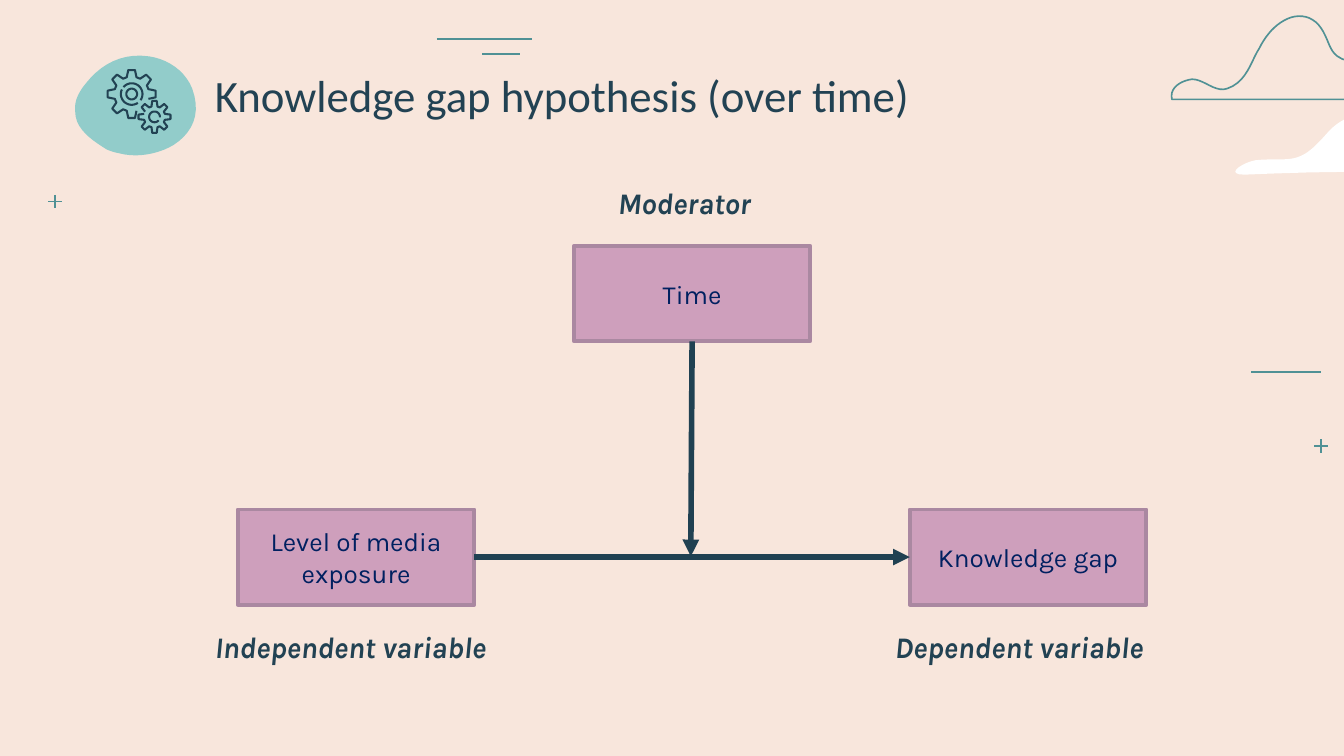
"""Build a slide showing time as the moderator of the knowledge gap hypothesis."""
from math import cos, radians, sin

from lxml import etree
from pptx import Presentation
from pptx.dml.color import RGBColor
from pptx.enum.shapes import MSO_CONNECTOR, MSO_SHAPE
from pptx.enum.text import MSO_ANCHOR, PP_ALIGN
from pptx.oxml.ns import qn
from pptx.util import Inches, Pt

RECTANGLE, STRAIGHT = MSO_SHAPE.RECTANGLE, MSO_CONNECTOR.STRAIGHT
MIDDLE, BOTTOM, CENTER = MSO_ANCHOR.MIDDLE, MSO_ANCHOR.BOTTOM, PP_ALIGN.CENTER
CREAM = RGBColor(0xF8, 0xE6, 0xDC)
WHITE = RGBColor(0xFF, 0xFF, 0xFF)
TEAL = RGBColor(0x50, 0x91, 0x95)
AQUA = RGBColor(0x92, 0xCC, 0xCA)
INK = RGBColor(0x22, 0x42, 0x53)
ARROW = RGBColor(0x20, 0x41, 0x52)
PINK = RGBColor(0xCE, 0x9F, 0xBC)
MAUVE = RGBColor(0xAA, 0x88, 0xA1)
NAVY = RGBColor(0x00, 0x20, 0x60)

deck = Presentation()
deck.slide_width, deck.slide_height = Inches(10), Inches(10 * 9 / 16)
page = deck.slides.add_slide(deck.slide_layouts[6])
page.background.fill.solid()
page.background.fill.fore_color.rgb = CREAM


def smooth(controls, steps=10):
    """Return points along a chain of cubic curves."""
    points = [controls[0]]
    for first in range(0, len(controls) - 1, 3):
        a, b, c, d = controls[first:first + 4]
        for step in range(1, steps + 1):
            t = step / steps
            u = 1 - t
            points.append(tuple(
                u**3 * a[i] + 3 * u * u * t * b[i] + 3 * u * t * t * c[i] + t**3 * d[i]
                for i in (0, 1)))
    return points


def draw_outline(points, fill=None, line=None, width=1.1, close=False):
    """Draw a freeform through points given in inches."""
    corners = [(Inches(x), Inches(y)) for x, y in points]
    builder = page.shapes.build_freeform(*corners[0])
    builder.add_line_segments(corners[1:], close=close)
    outline = builder.convert_to_shape()
    outline.shadow.inherit = False
    for paint, color in ((outline.fill, fill), (outline.line.fill, line)):
        if color is None:
            paint.background()
        else:
            paint.solid()
            paint.fore_color.rgb = color
    if line is not None:
        outline.line.width = Pt(width)


white_cloud = [
    (10.05, 0.87), (9.96, 0.9), (9.9, 0.96), (9.85, 1.02), (9.8, 1.07), (9.75, 1.13),
    (9.68, 1.16), (9.6, 1.2), (9.5, 1.18), (9.37, 1.19), (9.28, 1.19), (9.09, 1.3),
    (9.26, 1.3), (9.52, 1.29), (9.76, 1.28), (10.05, 1.28)]
line_cloud = [
    (10.68, 0.74), (10.68, 0.65), (10.51, 0.68), (10.42, 0.68), (10.39, 0.68), (10.35, 0.68),
    (10.33, 0.64), (10.31, 0.6), (10.33, 0.55), (10.33, 0.51), (10.32, 0.42), (10.23, 0.39),
    (10.17, 0.41), (10.1, 0.43), (10.03, 0.47), (9.97, 0.43), (9.89, 0.39), (9.89, 0.3),
    (9.83, 0.21), (9.77, 0.12), (9.67, 0.1), (9.58, 0.14), (9.49, 0.18), (9.42, 0.26),
    (9.37, 0.36), (9.31, 0.45), (9.28, 0.61), (9.13, 0.66), (9.04, 0.69), (8.96, 0.59),
    (8.87, 0.59), (8.79, 0.6), (8.7, 0.65), (8.72, 0.74)]
blob = [
    (0.93, 1.15), (1.05, 1.17), (1.19, 1.14), (1.29, 1.08), (1.43, 0.99), (1.5, 0.85),
    (1.43, 0.66), (1.38, 0.53), (1.25, 0.44), (1.11, 0.42), (0.91, 0.39), (0.75, 0.48),
    (0.64, 0.62), (0.59, 0.68), (0.55, 0.75), (0.56, 0.83), (0.56, 0.96), (0.68, 1.04),
    (0.79, 1.11), (0.83, 1.13), (0.88, 1.14), (0.93, 1.15)]
draw_outline(smooth(white_cloud), fill=WHITE, close=True)
draw_outline(smooth(line_cloud), line=TEAL, width=0.88, close=True)
draw_outline(smooth(blob), fill=AQUA, close=True)

big_gear, small_gear = (0.98, 0.7), (1.15, 0.87)
for (x, y), tip, root, teeth in ((big_gear, 0.18, 0.13, range(2, 9)),
                                 (small_gear, 0.12, 0.08, range(5, 13))):
    profile = ((-16, root), (-8, tip), (8, tip), (16, root))
    draw_outline([(x + radius * cos(radians(45 * tooth + turn)),
                   y + radius * sin(radians(45 * tooth + turn)))
                  for tooth in teeth for turn, radius in profile], line=INK)
for (x, y), radius, start, end in ((big_gear, 0.04, 0, 360), (big_gear, 0.08, 220, 395),
                                   (big_gear, 0.08, 55, 205), (small_gear, 0.04, 40, 365)):
    draw_outline([(x + radius * cos(radians(angle)), y + radius * sin(radians(angle)))
                  for angle in range(start, end + 1, 5)], line=INK)

boxes = {}
for name, left, top in (("Level of media exposure", 1.77, 3.79),
                        ("Knowledge gap", 6.77, 3.79), ("Time", 4.27, 1.83)):
    box = page.shapes.add_shape(RECTANGLE, Inches(left), Inches(top), Inches(1.76), Inches(0.71))
    box.shadow.inherit = False
    box.fill.solid()
    box.fill.fore_color.rgb = PINK
    box.line.color.rgb = MAUVE
    box.line.width = Pt(2)
    box.text_frame.vertical_anchor = MIDDLE
    para = box.text_frame.paragraphs[0]
    para.alignment = CENTER
    span = para.add_run()
    span.text = name
    span.font.name, span.font.size = "Karla", Pt(14)
    span.font.color.rgb = NAVY
    boxes[name] = box

lines = [(3.25, 0.29, 3.96, 0.29, TEAL, 1.32), (3.59, 0.4, 3.87, 0.4, TEAL, 1.32),
         (9.31, 2.77, 9.83, 2.77, TEAL, 1.32),
         (3.53, 4.14, 6.77, 4.14, ARROW, 3), (5.15, 2.54, 5.14, 4.14, ARROW, 3)]
for x, y in ((9.83, 3.32), (0.41, 1.5)):
    lines.append((x - 0.05, y, x + 0.05, y, TEAL, 0.88))
    lines.append((x, y - 0.05, x, y + 0.05, TEAL, 0.88))
arrows = []
for x1, y1, x2, y2, color, width in lines:
    connector = page.shapes.add_connector(STRAIGHT, Inches(x1), Inches(y1), Inches(x2), Inches(y2))
    connector.line.color.rgb = color
    connector.line.width = Pt(width)
    properties = connector._element.spPr
    if color == ARROW:
        etree.SubElement(properties.find(qn("a:ln")), qn("a:tailEnd"), type="triangle")
        arrows.append(connector)
    etree.SubElement(properties, qn("a:effectLst"))
effect_arrow, moderator_arrow = arrows
effect_arrow.begin_connect(boxes["Level of media exposure"], 3)
effect_arrow.end_connect(boxes["Knowledge gap"], 1)
moderator_arrow.begin_connect(boxes["Time"], 2)

for words, left, top, width, height, anchor, face, size, strong in (
        ("Knowledge gap hypothesis (over time)", 1.5, 0.48, 8.22, 0.53, MIDDLE, "Calibri", 24, False),
        ("Independent variable", 1.5, 4.61, 2.63, 0.43, BOTTOM, "Karla", 16, True),
        ("Dependent variable", 6.56, 4.61, 2.23, 0.43, BOTTOM, "Karla", 16, True),
        ("Moderator", 4.5, 1.31, 1.3, 0.43, BOTTOM, "Karla", 16, True)):
    box = page.shapes.add_textbox(Inches(left), Inches(top), Inches(width), Inches(height))
    frame = box.text_frame
    frame.word_wrap = True
    frame.vertical_anchor = anchor
    frame.margin_left = frame.margin_right = frame.margin_top = frame.margin_bottom = Inches(0.1)
    para = frame.paragraphs[0]
    para.line_spacing = 0.8
    span = para.add_run()
    span.text = words
    span.font.name, span.font.size = face, Pt(size)
    span.font.bold = span.font.italic = strong
    span.font.color.rgb = INK

deck.save("out.pptx")
